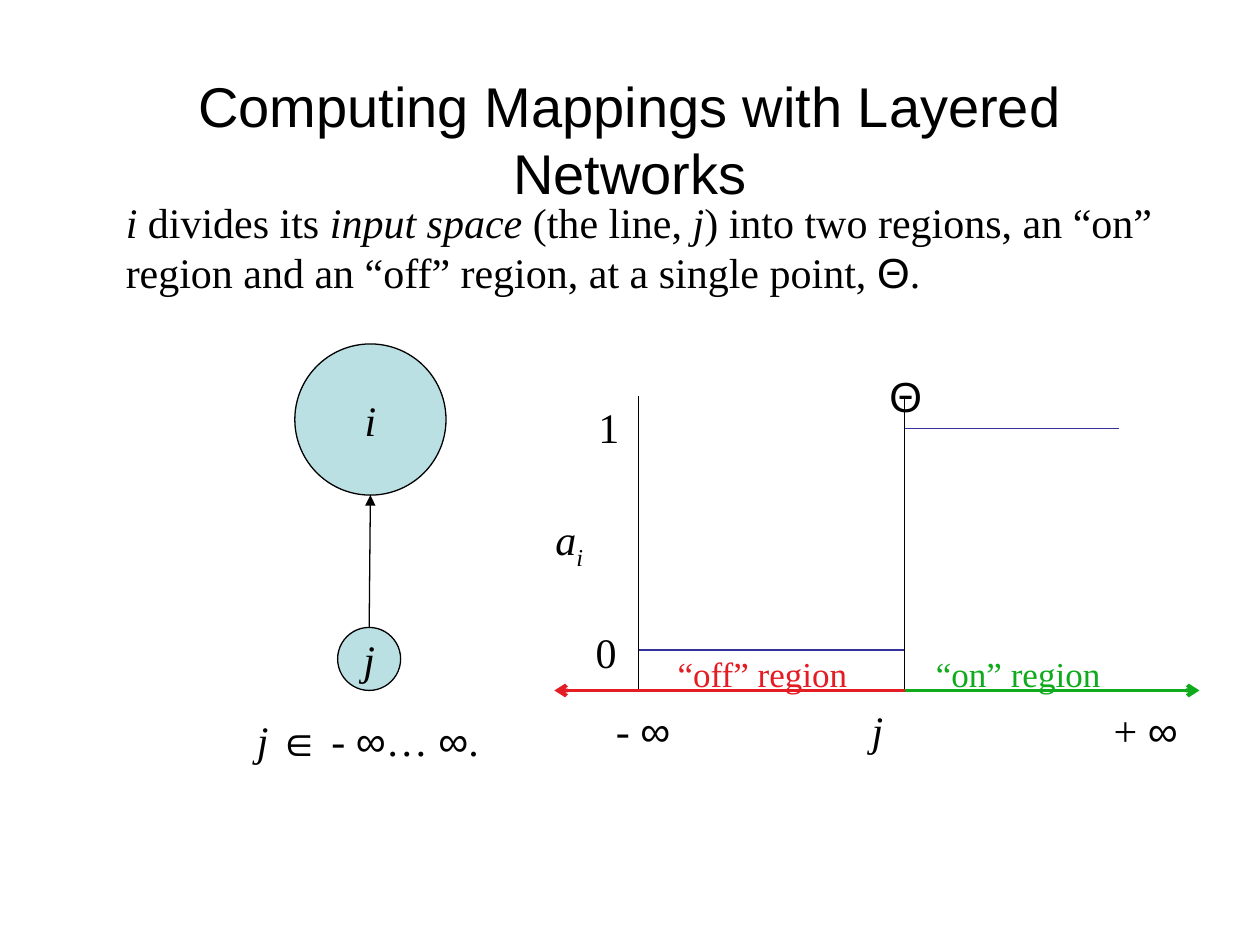
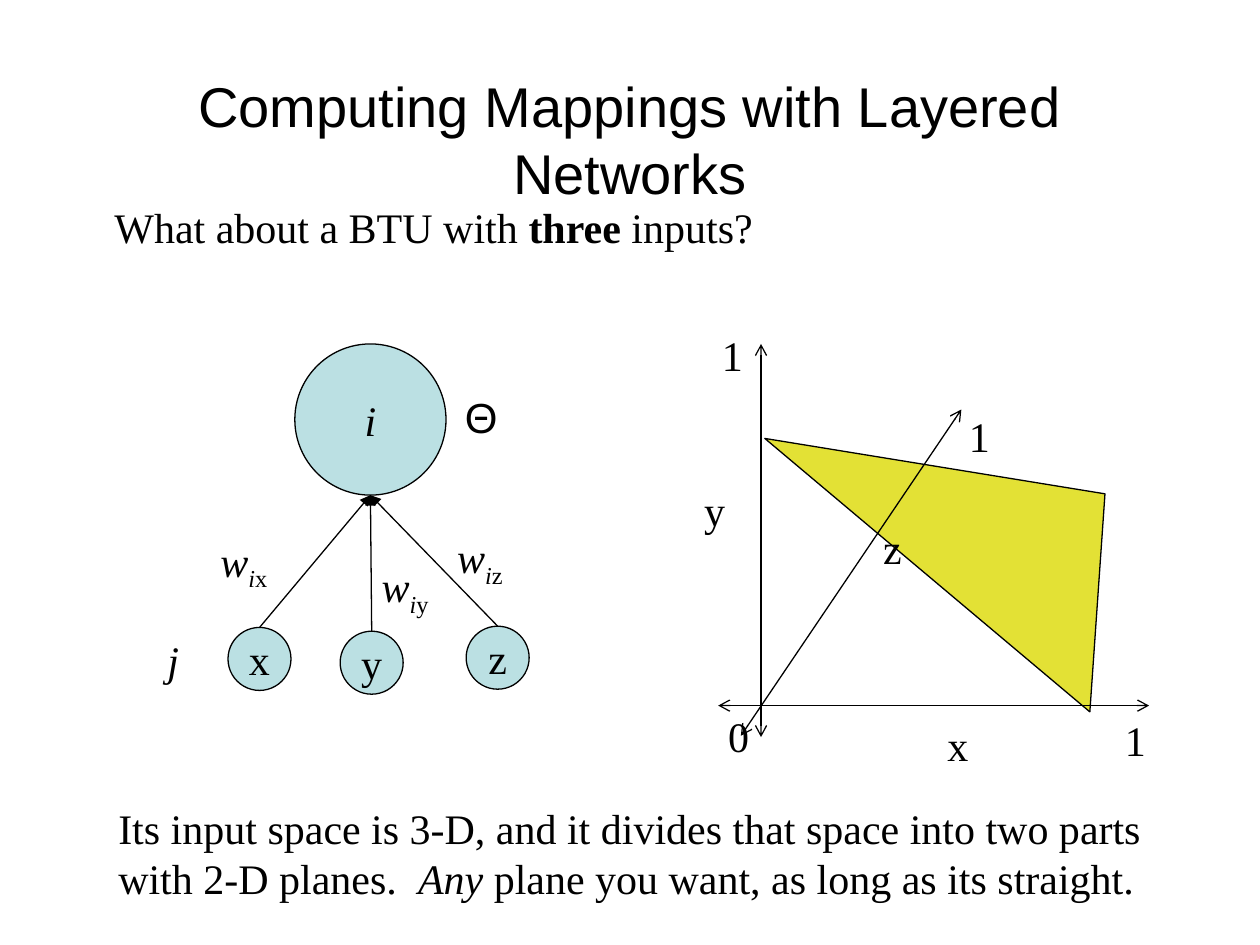
from pptx import Presentation
from pptx.dml.color import RGBColor
from pptx.enum.shapes import MSO_CONNECTOR, MSO_SHAPE
from pptx.enum.text import MSO_ANCHOR, PP_ALIGN
from pptx.oxml.ns import qn
from pptx.util import Inches, Pt
from lxml.etree import SubElement

BLACK, PALE_BLUE, STEP_BLUE = "000000", "BBE0E3", "333399"
RED, GREEN, YELLOW = "E41C23", "10AA1D", "E3E135"
SERIF, SANS = "Times New Roman", "Arial"

TITLE = "Computing Mappings with Layered Networks"
TITLE_BOX = (0.75, 0.67, 8.5, 0.86)
UNIT_I = (2.34, 2.73, 1.2)  # left, top, diameter
UNIT_I_FOOT = (2.94, 3.93)
INPUT_SIZE = 0.5

# A run is (text, style); style letters: i italic, b bold, s subscript, a Arial.
# Labels are (box, runs, format).
ORIGIN_X, THETA_X, AXIS_Y, PLOT_TOP = 5.07, 7.18, 5.48, 3.14
OFF_Y, ON_Y, ON_END = 5.16, 3.4, 8.88

STEP_INPUTS = [("j", "i", 2.68, 4.98)]
# Lines are (start, end, format).
STEP_LINES = [
    ((ORIGIN_X, PLOT_TOP), (ORIGIN_X, AXIS_Y), {}),
    ((ORIGIN_X, AXIS_Y), (8.93, AXIS_Y), {}),
    ((ORIGIN_X, OFF_Y), (THETA_X, OFF_Y), {"color": STEP_BLUE}),
    ((THETA_X, OFF_Y), (THETA_X, ON_Y), {"color": STEP_BLUE}),
    ((THETA_X, ON_Y), (ON_END, ON_Y), {"color": STEP_BLUE}),
    ((THETA_X, AXIS_Y), (THETA_X, PLOT_TOP), {}),
    ((THETA_X, AXIS_Y), (4.4, AXIS_Y), {"color": RED, "width": 2.25, "tail": "arrow"}),
    ((THETA_X, AXIS_Y), (9.52, AXIS_Y), {"color": GREEN, "width": 2.25, "tail": "arrow"}),
]
STEP_LABELS = [
    ((0.9, 1.51, 8.44, 0.9),
     [("i", "i"), (" divides its ", ""), ("input space", "i"), (" (the line, ", ""), ("j", "i"),
      (") into two regions, an “on” region and an “off” region, at a single point, ", ""),
      ("Θ", "a"), (".", "")], {}),
    ((1.94, 5.62, 2.04, 0.5),
     [("j ", "i"), ("∈", "a"), (" - ", ""), ("∞", "a"), ("… ", ""), ("∞", "a"), (".", "")], {}),
    ((4.63, 4.92, 0.36, 0.5), [("0", "")], {}),
    ((4.65, 3.14, 0.36, 0.5), [("1", "")], {}),
    ((4.31, 4.03, 0.47, 0.56), [("a", "i"), ("i", "is")], {}),
    ((4.79, 5.54, 0.64, 0.5), [("- ", ""), ("∞", "a")], {"wrap": False}),
    ((6.82, 5.54, 0.42, 0.5), [("j", "i")], {}),
    ((8.74, 5.54, 0.72, 0.5), [("+ ", ""), ("∞", "a")], {"wrap": False}),
    ((6.96, 2.89, 0.5, 0.5), [("Θ", "a")], {}),
    ((5.28, 5.13, 1.64, 0.44), [("“off” region", "")], {"size": 20, "color": RED}),
    ((7.33, 5.13, 1.64, 0.44), [("“on” region", "")], {"size": 20, "color": GREEN}),
]

PLANE = [(6.07, 3.48), (8.65, 5.65), (8.77, 3.92)]
PLANE_INPUTS = [("x", "", 1.81, 4.98), ("y", "", 2.7, 5.01), ("z", "", 3.7, 4.97)]
BOTH_ENDS = {"head": "arrow", "tail": "arrow"}
PLANE_LINES = [
    ((5.7, 5.6), (9.12, 5.6), BOTH_ENDS),
    ((6.04, 5.85), (6.04, 2.73), BOTH_ENDS),
    ((5.88, 5.84), (7.63, 3.25), BOTH_ENDS),
]
WEIGHT_BOXES = {"x": (1.65, 4.2, 0.8, 0.56), "y": (2.93, 4.4, 0.73, 0.56),
                "z": (3.53, 4.17, 0.73, 0.56)}
PLANE_LABELS = [
    ((0.81, 1.55, 8.82, 0.5),
     [("What about a BTU with ", ""), ("three", "b"), (" inputs?", "")], {}),
    ((1.23, 4.99, 0.29, 0.5), [("j", "i")], {}),
    ((3.59, 3.06, 1.48, 0.5), [("Θ", "a")], {}),
    ((7.42, 5.66, 0.36, 0.5), [("x", "")], {}),
    ((5.49, 3.8, 0.36, 0.5), [("y", "")], {}),
    ((6.91, 4.1, 0.35, 0.5), [("z", "")], {}),
    ((8.83, 5.62, 0.39, 0.5), [("1", "")], {}),
    ((5.63, 2.57, 0.39, 0.5), [("1", "")], {}),
    ((7.59, 3.21, 0.22, 0.5), [("1", "")], {}),
    ((5.68, 5.59, 0.23, 0.5), [("0", "")], {}),
    ((0.84, 6.32, 8.62, 0.9),
     [("Its input space is 3-D, and it divides that space into two parts with 2-D planes.  ", ""),
      ("Any", "i"), (" plane you want, as long as its straight.", "")], {}),
] + [(box, [("w", "i"), ("i", "is"), (name, "s")], {}) for name, box in WEIGHT_BOXES.items()]


def rgb(color):
    return RGBColor.from_string(color)


def write(shape, runs, size=24, color=BLACK, align=PP_ALIGN.LEFT, anchor=MSO_ANCHOR.TOP, wrap=True):
    frame = shape.text_frame
    frame.word_wrap = wrap
    frame.vertical_anchor = anchor
    paragraph = frame.paragraphs[0]
    paragraph.alignment = align
    for text, style in runs:
        run = paragraph.add_run()
        run.text = text
        run.font.name = SANS if "a" in style else SERIF
        run.font.size = Pt(size)
        run.font.color.rgb = rgb(color)
        run.font.italic = "i" in style
        run.font.bold = "b" in style
        if "s" in style:
            run._r.get_or_add_rPr().set("baseline", "-25000")


def add_label(slide, box, runs, **text_format):
    write(slide.shapes.add_textbox(*map(Inches, box)), runs, **text_format)


def paint(shape, fill):
    """Give a shape a flat fill and a thin black outline."""
    shape.shadow.inherit = False
    shape.fill.solid()
    shape.fill.fore_color.rgb = rgb(fill)
    shape.line.color.rgb = rgb(BLACK)
    shape.line.width = Pt(0.75)


def add_unit(slide, name, style, left, top, diameter):
    box = map(Inches, (left, top, diameter, diameter))
    unit = slide.shapes.add_shape(MSO_SHAPE.OVAL, *box)
    paint(unit, PALE_BLUE)
    write(unit, [(name, style)], align=PP_ALIGN.CENTER, anchor=MSO_ANCHOR.MIDDLE, wrap=False)


def add_line(slide, start, end, color=BLACK, width=0.75, head=None, tail=None):
    connector = slide.shapes.add_connector(MSO_CONNECTOR.STRAIGHT, *map(Inches, start + end))
    connector.line.color.rgb = rgb(color)
    connector.line.width = Pt(width)
    properties = connector._element.spPr
    outline = properties.find(qn("a:ln"))
    for tag, kind in (("a:headEnd", head), ("a:tailEnd", tail)):
        if kind:
            SubElement(outline, qn(tag), type=kind)
    SubElement(properties, qn("a:effectLst"))


def add_plane(slide, corners):
    points = [tuple(map(Inches, corner)) for corner in corners]
    builder = slide.shapes.build_freeform(*points[0])
    builder.add_line_segments(points[1:], close=True)
    paint(builder.convert_to_shape(), YELLOW)


def add_network_slide(presentation, inputs, lines, labels, plane=None):
    """Add the title, unit i fed by its inputs, and the plot beside them."""
    slide = presentation.slides.add_slide(presentation.slide_layouts[6])
    if plane:
        add_plane(slide, plane)
    add_label(slide, TITLE_BOX, [(TITLE, "a")], size=32,
              align=PP_ALIGN.CENTER, anchor=MSO_ANCHOR.MIDDLE)
    add_unit(slide, "i", "i", *UNIT_I)
    for name, style, left, top in inputs:
        add_unit(slide, name, style, left, top, INPUT_SIZE)
        add_line(slide, (left + INPUT_SIZE / 2, top), UNIT_I_FOOT, tail="triangle")
    for start, end, line_format in lines:
        add_line(slide, start, end, **line_format)
    for box, runs, text_format in labels:
        add_label(slide, box, runs, **text_format)


def main():
    presentation = Presentation()
    presentation.slide_width, presentation.slide_height = Inches(10), Inches(7.5)
    add_network_slide(presentation, STEP_INPUTS, STEP_LINES, STEP_LABELS)
    add_network_slide(presentation, PLANE_INPUTS, PLANE_LINES, PLANE_LABELS, plane=PLANE)
    presentation.save("out.pptx")


if __name__ == "__main__":
    main()
